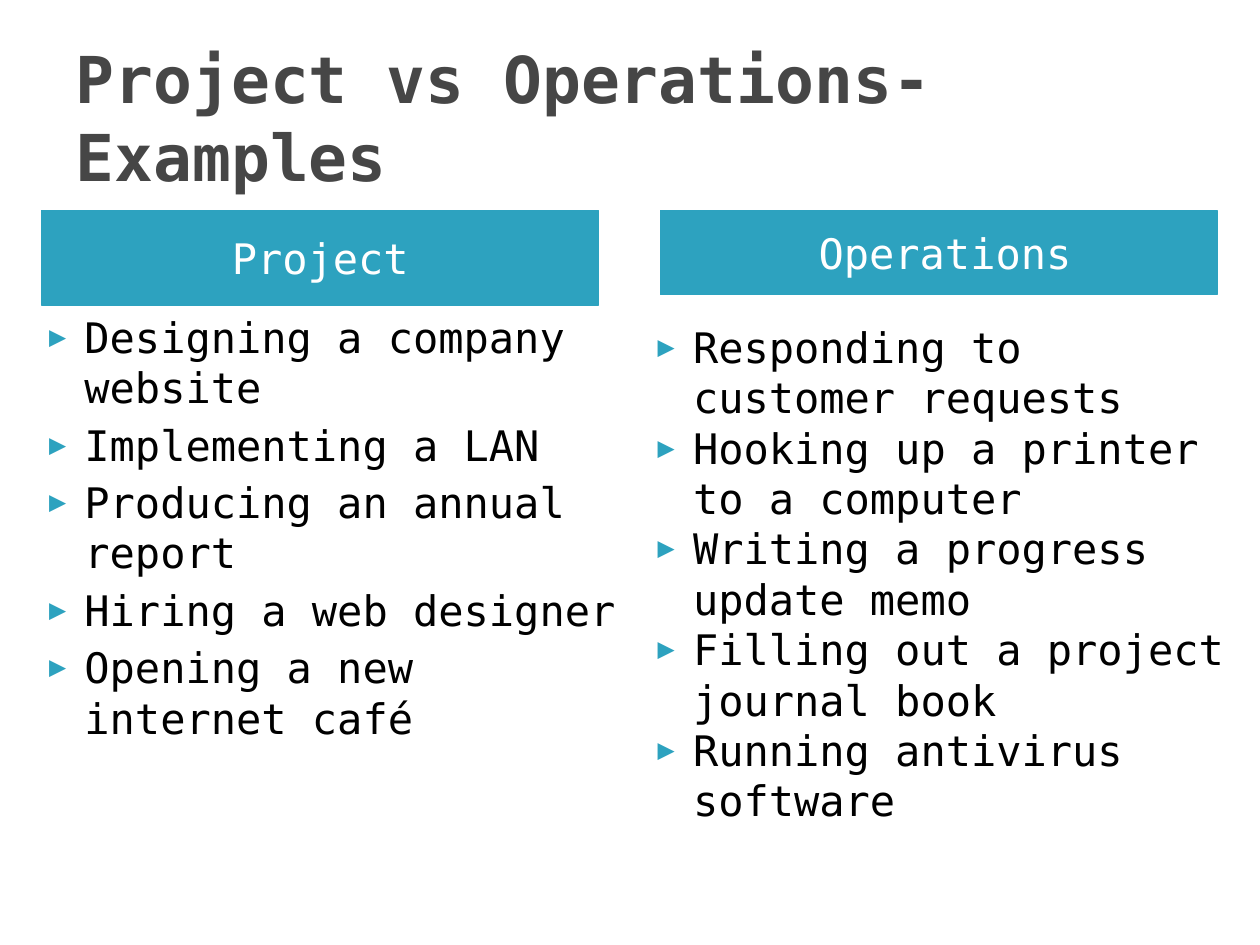
from lxml.etree import SubElement
from pptx import Presentation
from pptx.dml.color import RGBColor
from pptx.enum.text import MSO_ANCHOR as Anchor, MSO_AUTO_SIZE as AutoSize, PP_ALIGN as Align
from pptx.oxml.ns import qn
from pptx.util import Inches, Pt

FONT = "DejaVu Sans Mono"
TEAL = RGBColor(0x2D, 0xA2, 0xBF)
GREY = RGBColor(0x46, 0x46, 0x46)
WHITE = RGBColor(0xFF, 0xFF, 0xFF)
BLACK = RGBColor(0x00, 0x00, 0x00)

COLUMNS = [
    ("Project\t", (0.33, 1.67, 4.42, 0.75), (0.17, 2.42, 4.83, 4.67), 4, [
        "Designing a company website",
        "Implementing a LAN",
        "Producing an annual report",
        "Hiring a web designer",
        "Opening a new internet café",
    ]),
    ("Operations", (5.24, 1.67, 4.42, 0.67), (5, 2.5, 4.83, 4.33), 0, [
        "Responding to customer requests",
        "Hooking up a printer to a computer",
        "Writing a progress update memo",
        "Filling out a project journal book",
        "Running antivirus software",
    ]),
]


def place(shape, box, anchor):
    """Move a placeholder into its box and return its text frame."""
    shape.left, shape.top, shape.width, shape.height = map(Inches, box)
    frame = shape.text_frame
    frame.word_wrap = True
    frame.auto_size = AutoSize.NONE
    frame.vertical_anchor = anchor
    return frame


def style(para, size, color, bold=False):
    """Format every run of a paragraph."""
    for span in para.runs:
        span.font.name = FONT
        span.font.size = Pt(size)
        span.font.bold = bold
        span.font.color.rgb = color


def add_bullet(para):
    """Give a paragraph a hanging teal triangle bullet."""
    props = para._p.get_or_add_pPr()
    props.set("marL", str(Inches(0.4)))
    props.set("indent", str(Inches(-0.28)))
    color = SubElement(props, qn("a:buClr"))
    SubElement(color, qn("a:srgbClr"), val=str(TEAL))
    SubElement(props, qn("a:buSzPct"), val="68000")
    SubElement(props, qn("a:buFont"), typeface=FONT)
    SubElement(props, qn("a:buChar"), char="▶")


def fill_title(shape, box):
    """Write the slide title."""
    frame = place(shape, box, Anchor.MIDDLE)
    frame.text = "Project vs Operations-Examples"
    para = frame.paragraphs[0]
    para.alignment = Align.LEFT
    style(para, 36.9, GREY, bold=True)


def fill_heading(shape, box, text):
    """Write a column heading on a teal band."""
    frame = place(shape, box, Anchor.MIDDLE)
    frame.margin_left = Inches(0.2)
    shape.fill.solid()
    shape.fill.fore_color.rgb = TEAL
    shape.line.color.rgb = TEAL
    shape.line.width = Pt(0.75)
    frame.text = text
    para = frame.paragraphs[0]
    para.alignment = Align.CENTER
    para.space_before = Pt(0)
    style(para, 24, WHITE)


def fill_list(shape, box, items, gap):
    """Write a bulleted list with a gap in points between its items."""
    frame = place(shape, box, Anchor.TOP)
    frame.text = "\n".join(items)
    for index, para in enumerate(frame.paragraphs):
        add_bullet(para)
        para.space_before = Pt(gap if index else 0)
        style(para, 24, BLACK)


def build_comparison(deck):
    """Add the slide that compares the two columns."""
    page = deck.slides.add_slide(deck.slide_layouts.get_by_name("Comparison"))
    title, *bodies = list(page.placeholders)[:5]
    fill_title(title, (0.5, 0.3, 9, 1.25))
    for column, heading, listing in zip(COLUMNS, bodies[::2], bodies[1::2]):
        text, heading_box, list_box, gap, items = column
        fill_heading(heading, heading_box, text)
        fill_list(listing, list_box, items, gap)


def main():
    """Build and save the deck."""
    deck = Presentation()
    deck.slide_width, deck.slide_height = Inches(10), Inches(7.5)
    build_comparison(deck)
    deck.save("out.pptx")


if __name__ == "__main__":
    main()
